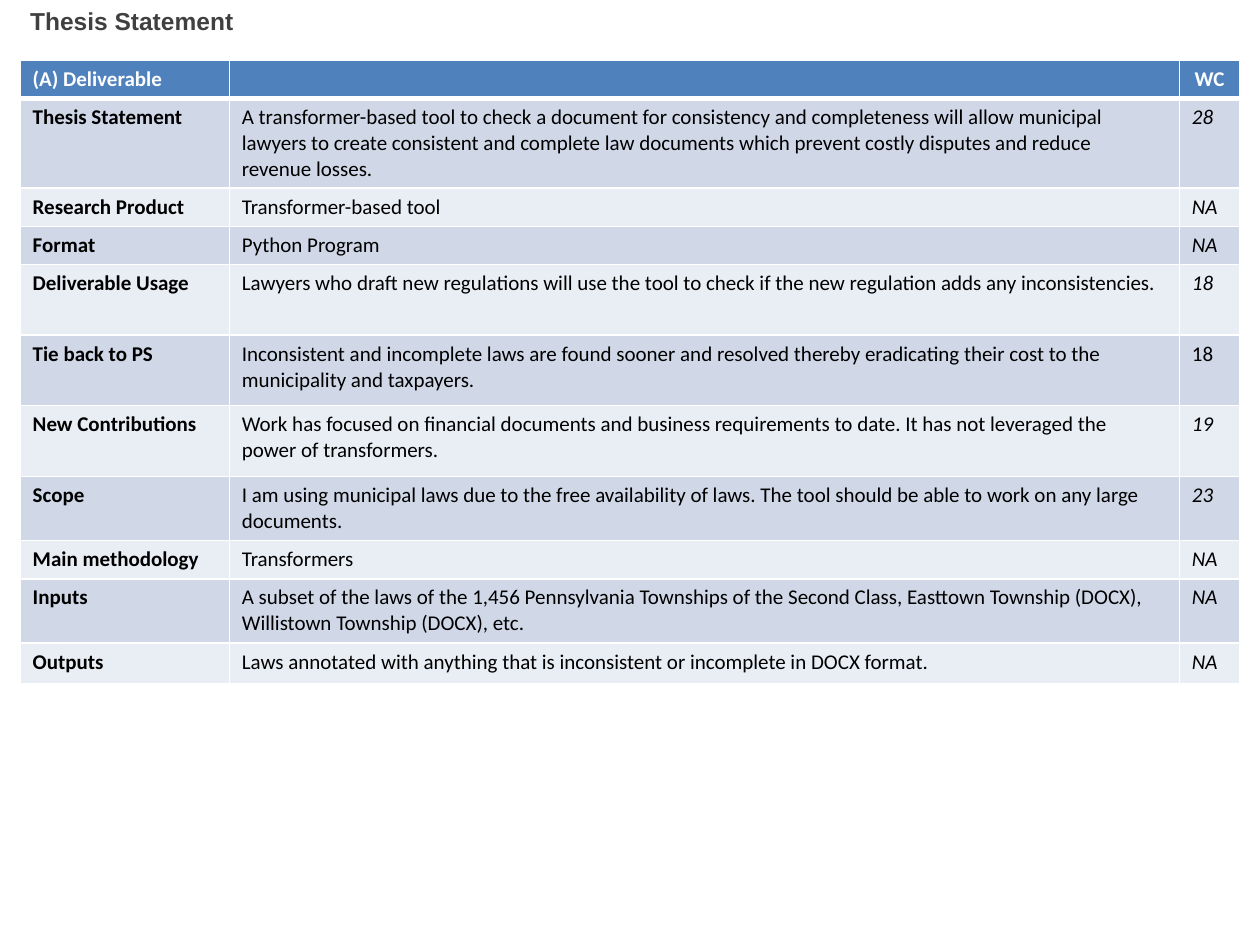
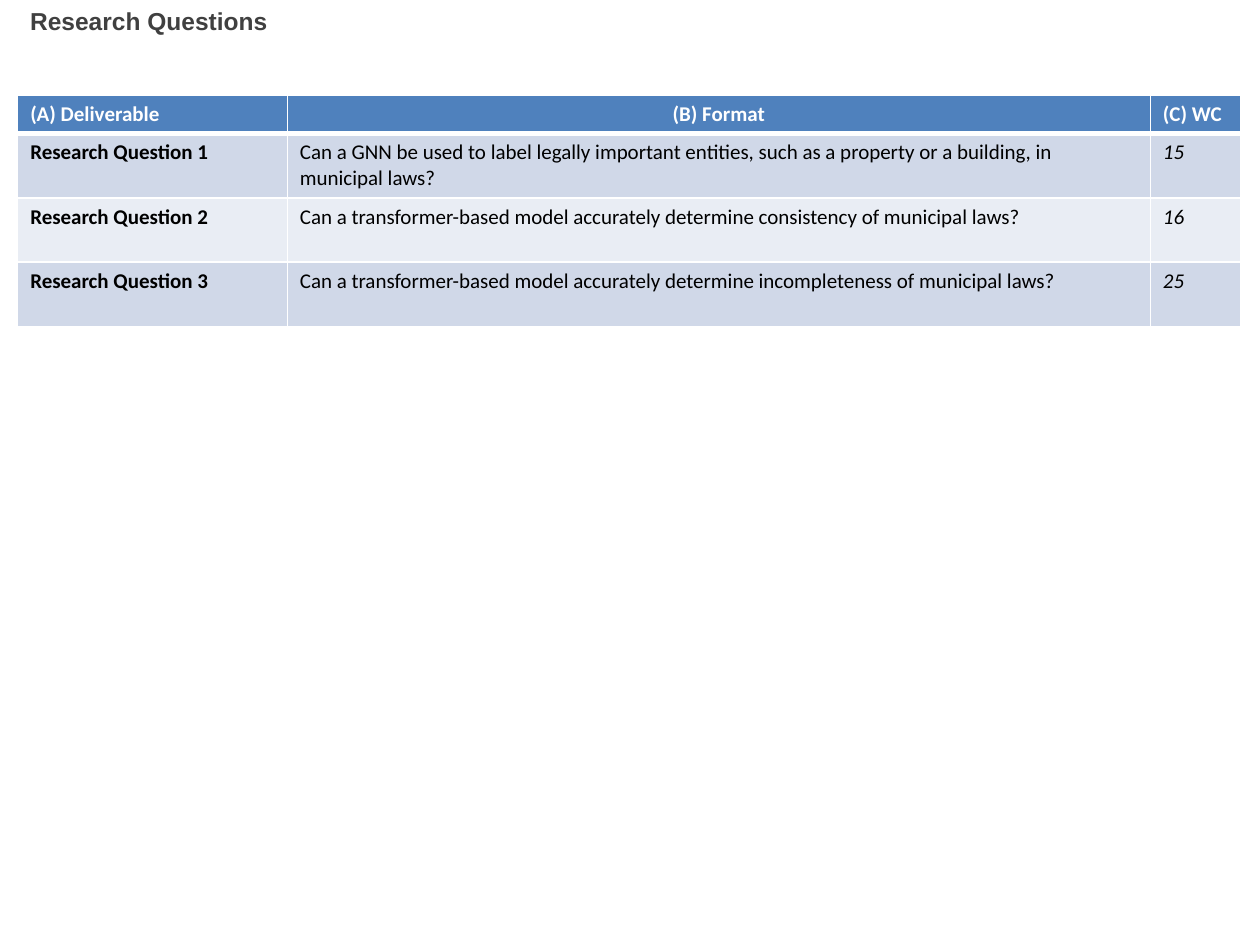
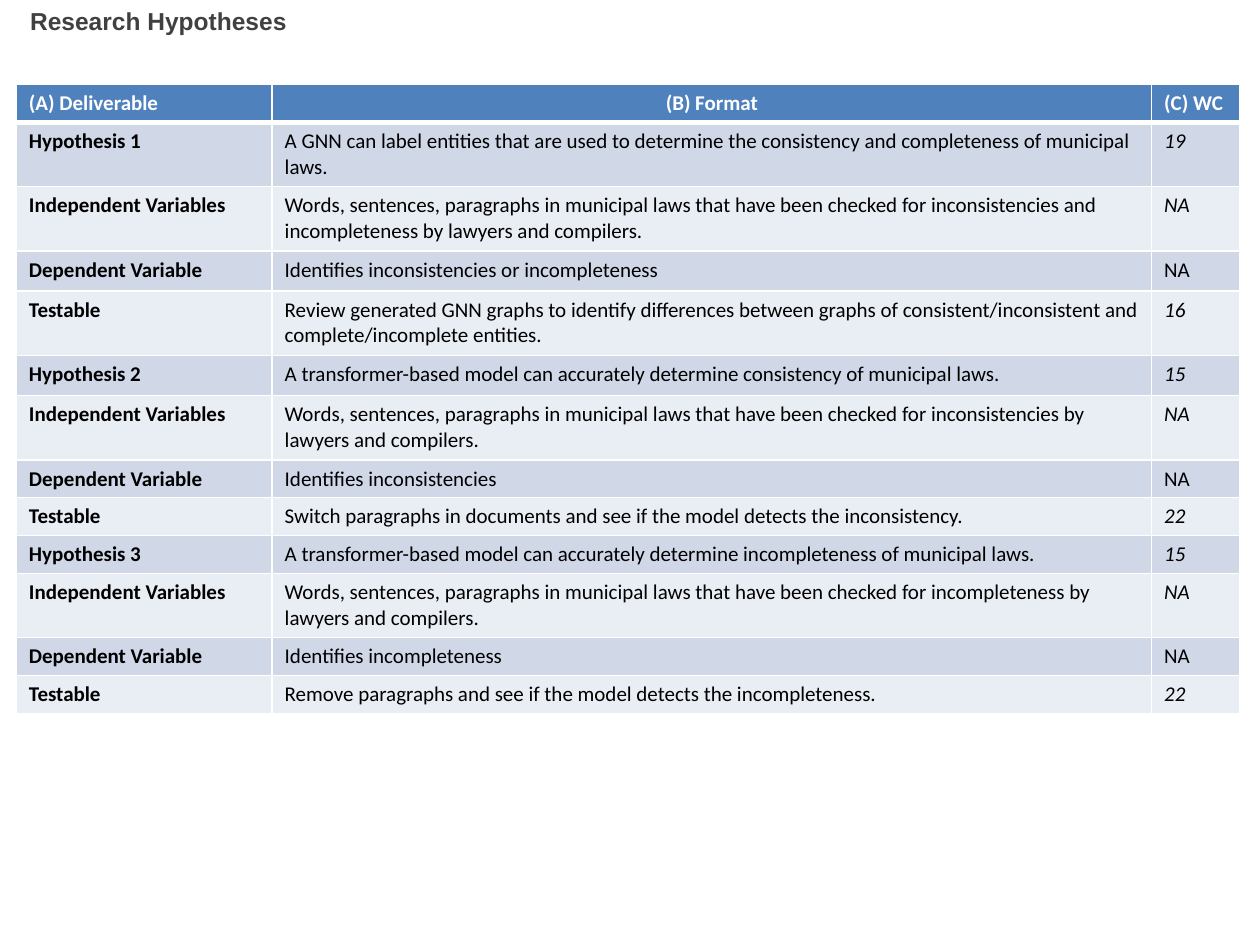
from dataclasses import dataclass

import lxml.etree
import pptx
import pptx.dml.color
import pptx.enum.text
import pptx.oxml.ns
import pptx.slide
import pptx.table
import pptx.util

Inches = pptx.util.Inches
Pt = pptx.util.Pt
RGBColor = pptx.dml.color.RGBColor
ALIGN = pptx.enum.text.PP_ALIGN
qn = pptx.oxml.ns.qn

# Shared look
WHITE = RGBColor(0xFF, 0xFF, 0xFF)
BLACK = RGBColor(0x00, 0x00, 0x00)
TITLE_GRAY = RGBColor(0x40, 0x40, 0x40)
HEADER_BLUE = RGBColor(0x4F, 0x81, 0xBD)
BANDS = (RGBColor(0xD0, 0xD8, 0xE8), RGBColor(0xE9, 0xED, 0xF4))
TITLE_FONT, TABLE_FONT = "Arial", "Calibri"
TITLE_SIZE, TABLE_SIZE = Pt(14), Pt(12)
THIN, THICK = Pt(1), Pt(3)

# Row heights by number of text lines, and the looser ones
ONE, TWO, THREE = 0.3, 0.51, 0.7
ONE_LOOSE, TWO_LOOSE = 0.32, 0.56


@dataclass(frozen=True)
class Row:
    label: str
    text: str
    count: str
    height: float = ONE
    italic: bool = True


@dataclass(frozen=True)
class Page:
    title: str
    left: float
    top: float
    widths: tuple[float, float, float]
    header: tuple[str, str, str]
    centered: int  # header column that is centred
    rows: tuple[Row, ...]


FORMAT_HEADER = ("(A) Deliverable", "(B) Format", "(C) WC")
CHECKED = "Words, sentences, paragraphs in municipal laws that have been checked for "

PAGES = (
    Page("Thesis Statement", 0.16, 0.48, (1.66, 7.54, 0.48), ("(A) Deliverable", "", "WC"), 2, (
        Row("Thesis Statement", "A transformer-based tool to check a document for consistency and "
            "completeness will allow municipal lawyers to create consistent and complete law "
            "documents which prevent costly disputes and reduce revenue losses.", "28", THREE),
        Row("Research Product", "Transformer-based tool", "NA"),
        Row("Format", "Python Program", "NA"),
        Row("Deliverable Usage", "Lawyers who draft new regulations will use the tool to check "
            "if the new regulation adds any inconsistencies.", "18", TWO_LOOSE),
        Row("Tie back to PS", "Inconsistent and incomplete laws are found sooner and resolved "
            "thereby eradicating their cost to the municipality and taxpayers.",
            "18", TWO_LOOSE, italic=False),
        Row("New Contributions", "Work has focused on financial documents and business "
            "requirements to date. It has not leveraged the power of transformers.",
            "19", TWO_LOOSE),
        Row("Scope", "I am using municipal laws due to the free availability of laws. The tool "
            "should be able to work on any large documents.", "23", TWO),
        Row("Main methodology", "Transformers", "NA"),
        Row("Inputs", "A subset of the laws of the 1,456 Pennsylvania Townships of the Second "
            "Class, Easttown Township (DOCX), Willistown Township (DOCX), etc.", "NA", TWO),
        Row("Outputs", "Laws annotated with anything that is inconsistent or incomplete in DOCX "
            "format.", "NA", ONE_LOOSE),
    )),
    Page("Research Questions", 0.14, 0.76, (2.14, 6.85, 0.72), FORMAT_HEADER, 1, (
        Row("Research Question 1", "Can a GNN be used to label legally important entities, such "
            "as a property or a building, in municipal laws?", "15", TWO),
        Row("Research Question 2", "Can a transformer-based model accurately determine "
            "consistency of municipal laws?", "16", TWO),
        Row("Research Question 3", "Can a transformer-based model accurately determine "
            "incompleteness of municipal laws?", "25", TWO),
    )),
    Page("Research Hypotheses", 0.13, 0.67, (2.03, 6.98, 0.7), FORMAT_HEADER, 1, (
        Row("Hypothesis 1", "A GNN can label entities that are used to determine the consistency "
            "and completeness of municipal laws.", "19", TWO),
        Row("Independent Variables", CHECKED + "inconsistencies and incompleteness by lawyers "
            "and compilers.", "NA", TWO),
        Row("Dependent Variable", "Identifies inconsistencies or incompleteness",
            "NA", ONE_LOOSE, italic=False),
        Row("Testable", "Review generated GNN graphs to identify differences between graphs of "
            "consistent/inconsistent and complete/incomplete entities.", "16", TWO),
        Row("Hypothesis 2", "A transformer-based model can accurately determine consistency of "
            "municipal laws.", "15", ONE_LOOSE),
        Row("Independent Variables", CHECKED + "inconsistencies by lawyers and compilers.",
            "NA", TWO),
        Row("Dependent Variable", "Identifies inconsistencies", "NA", italic=False),
        Row("Testable", "Switch paragraphs in documents and see if the model detects the "
            "inconsistency.", "22"),
        Row("Hypothesis 3", "A transformer-based model can accurately determine incompleteness "
            "of municipal laws.", "15"),
        Row("Independent Variables", CHECKED + "incompleteness by lawyers and compilers.",
            "NA", TWO),
        Row("Dependent Variable", "Identifies incompleteness", "NA", italic=False),
        Row("Testable", "Remove paragraphs and see if the model detects the incompleteness.",
            "22"),
    )),
)


def add_title(s: pptx.slide.Slide, text: str) -> None:
    sp = s.shapes.add_textbox(Inches(0.14), Inches(0), Inches(8.48), Inches(0.68))
    tf = sp.text_frame
    tf.word_wrap = True
    tf.text = text
    font = tf.paragraphs[0].runs[0].font
    font.name, font.size, font.bold = TITLE_FONT, TITLE_SIZE, True
    font.color.rgb = TITLE_GRAY


def set_borders(cell: pptx.table._Cell, top: int, bottom: int) -> None:
    tc_pr = cell._tc.get_or_add_tcPr()
    for side, width in (("L", THIN), ("R", THIN), ("T", top), ("B", bottom)):
        ln = lxml.etree.SubElement(tc_pr, qn(f"a:ln{side}"), w=str(width))
        fill = lxml.etree.SubElement(ln, qn("a:solidFill"))
        lxml.etree.SubElement(fill, qn("a:srgbClr"), val=str(WHITE))


def fill_cell(cell: pptx.table._Cell, text: str, fill: RGBColor, color: RGBColor,
              bold: bool = False, italic: bool = False) -> None:
    cell.fill.solid()
    cell.fill.fore_color.rgb = fill
    cell.text_frame.text = text
    p = cell.text_frame.paragraphs[0]
    for r in p.runs:
        r.font.name, r.font.size = TABLE_FONT, TABLE_SIZE
        r.font.bold, r.font.italic = bold, italic
        r.font.color.rgb = color
    if not text:  # keep an empty cell from growing its row
        size = str(int(TABLE_SIZE.pt * 100))
        lxml.etree.SubElement(p._p, qn("a:endParaRPr"), sz=size)


def add_page_table(s: pptx.slide.Slide, page: Page) -> None:
    heights = [ONE] + [row.height for row in page.rows]
    sp = s.shapes.add_table(len(heights), len(page.widths), Inches(page.left), Inches(page.top),
                            Inches(sum(page.widths)), Inches(sum(heights)))
    table = sp.table
    for column, width in zip(table.columns, page.widths):
        column.width = Inches(width)
    for i, height in enumerate(heights):
        table.rows[i].height = Inches(height)
        for cell in table.rows[i].cells:
            set_borders(cell, THICK if i == 1 else THIN, THICK if i == 0 else THIN)

    # Header row
    for col, text in enumerate(page.header):
        fill_cell(table.cell(0, col), text, HEADER_BLUE, WHITE, bold=True)
    table.cell(0, page.centered).text_frame.paragraphs[0].alignment = ALIGN.CENTER

    # Banded body rows
    for i, row in enumerate(page.rows):
        band = BANDS[i % 2]
        fill_cell(table.cell(i + 1, 0), row.label, band, BLACK, bold=True)
        fill_cell(table.cell(i + 1, 1), row.text, band, BLACK)
        fill_cell(table.cell(i + 1, 2), row.count, band, BLACK, italic=row.italic)


def main() -> None:
    prs = pptx.Presentation()
    prs.slide_width, prs.slide_height = Inches(10), Inches(7.5)
    for page in PAGES:
        s = prs.slides.add_slide(prs.slide_layouts[6])
        add_page_table(s, page)
        add_title(s, page.title)
    prs.save("out.pptx")


if __name__ == "__main__":
    main()
